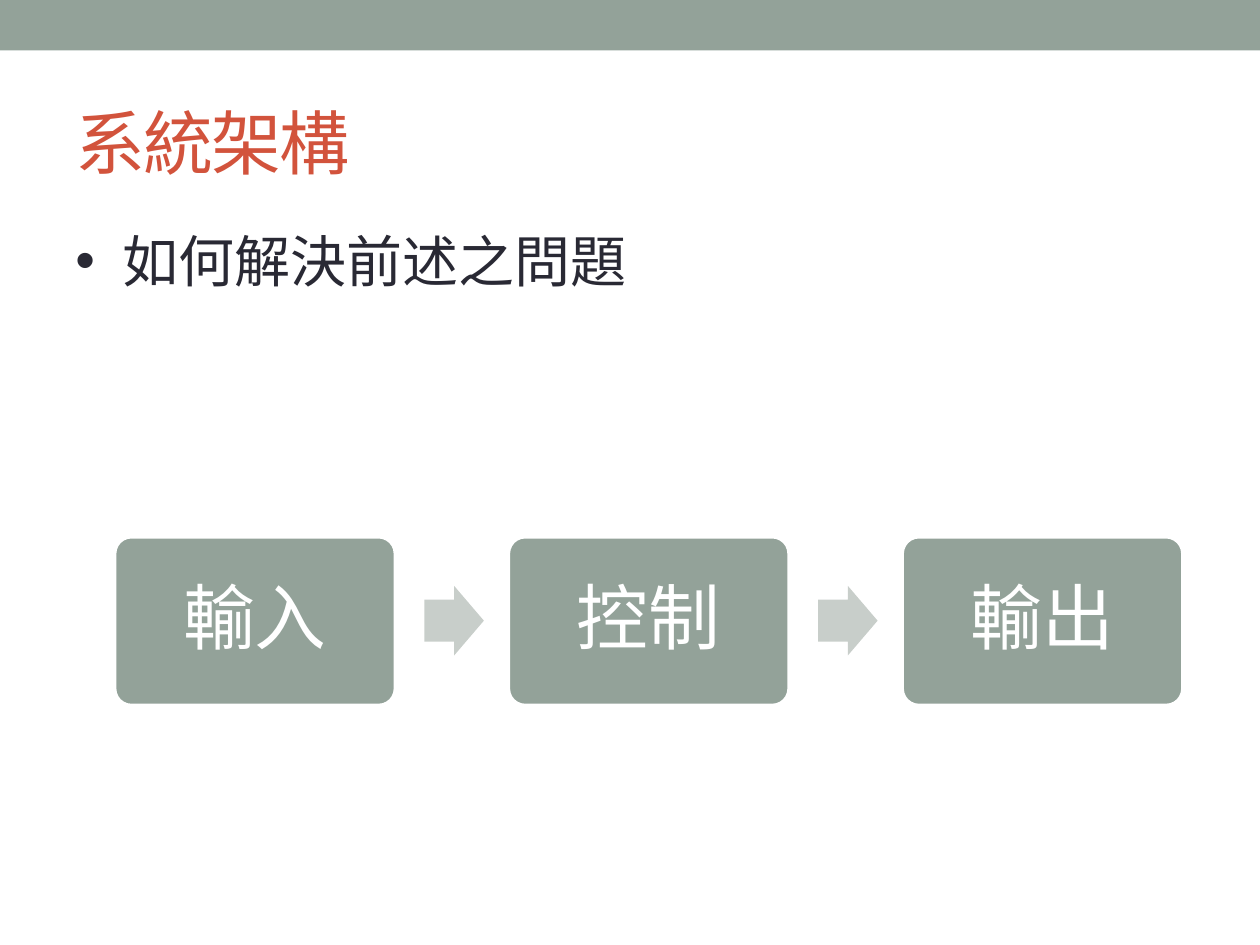
"""Build the system architecture slide with its three-step flow."""
from pptx import Presentation
from pptx.dml.color import RGBColor
from pptx.enum.shapes import MSO_SHAPE
from pptx.enum.text import MSO_ANCHOR, PP_ALIGN
from pptx.util import Pt
from lxml.etree import SubElement
from pptx.oxml.ns import qn


def shape(kind, box, fill):
    item = slide.shapes.add_shape(kind, *[Pt(n) for n in box])
    item.shadow.inherit = False
    item.fill.solid()
    item.fill.fore_color.rgb = RGBColor.from_string(fill)
    item.line.fill.background()
    return item


def write(frame, text, size, color):
    frame.word_wrap = True
    par = frame.paragraphs[0]
    run = par.add_run()
    run.text = text
    run.font.name = "Arial"
    run.font.size = Pt(size)
    run.font.color.rgb = RGBColor.from_string(color)
    return par


SAGE, PALE, RED, DARK, WHITE = "93A299", "C8CECA", "D2533C", "292934", "FFFFFF"

deck = Presentation()
deck.slide_width, deck.slide_height = Pt(720), Pt(540)
slide = deck.slides.add_slide(deck.slide_layouts[6])

shape(MSO_SHAPE.RECTANGLE, (0, 0, 720, 28.8), SAGE)

title = slide.shapes.add_textbox(Pt(36), Pt(41.76), Pt(648), Pt(77.76)).text_frame
title.vertical_anchor = MSO_ANCHOR.MIDDLE
par = write(title, "系統架構", 40, RED)
par.runs[0].font._element.set("spc", "-100")

left, top, wide, high, step = 65.5, 306.7, 160.5, 96.5, 225
steps = ["輸入", "控制", "輸出"]
for i, name in enumerate(steps):
    x = left + i * step
    card = shape(MSO_SHAPE.ROUNDED_RECTANGLE, (x, top, wide, high), SAGE)
    card.adjustments[0] = 0.1
    card.line.color.rgb = RGBColor.from_string(WHITE)
    card.line.width = Pt(2.08)
    frame = card.text_frame
    frame.vertical_anchor = MSO_ANCHOR.MIDDLE
    frame.margin_left = frame.margin_right = Pt(15)
    frame.margin_top = frame.margin_bottom = Pt(15)
    par = write(frame, name, 41, WHITE)
    par.alignment = PP_ALIGN.CENTER
    par.line_spacing = 0.9
    par.space_after = Pt(14.35)
    if i < len(steps) - 1:
        arrow = shape(MSO_SHAPE.RIGHT_ARROW, (x + 177, 334.8, 34, 39.8), PALE)
        arrow.adjustments[0] = 0.6
        arrow.adjustments[1] = 0.5

body = slide.shapes.add_textbox(Pt(36), Pt(126), Pt(648), Pt(356.4)).text_frame
par = write(body, "如何解決前述之問題", 32, DARK)
par.space_before = Pt(6.4)
props = par._p.get_or_add_pPr()
props.set("marL", str(Pt(27)))
props.set("indent", str(Pt(-27)))
SubElement(props, qn("a:buFont")).set("typeface", "Arial")
SubElement(props, qn("a:buChar")).set("char", "•")

deck.save("out.pptx")
